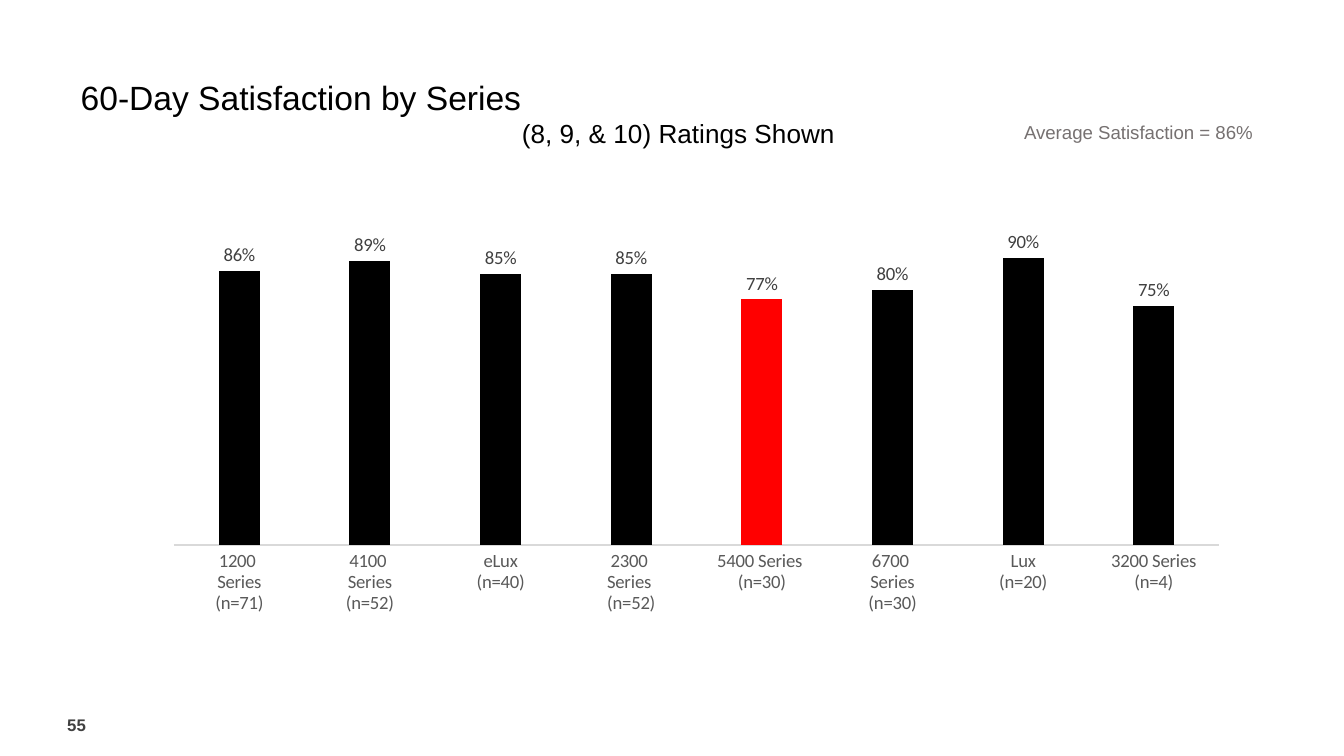
from pptx import Presentation
from pptx.util import Pt
from pptx.dml.color import RGBColor
from pptx.chart.data import CategoryChartData as Data
from pptx.enum.chart import XL_CHART_TYPE as Kind, XL_LABEL_POSITION as Spot
from pptx.enum.chart import XL_TICK_MARK as Tick
from pptx.enum.text import MSO_ANCHOR as Anchor, PP_ALIGN as Align
from pptx.oxml import parse_xml
from pptx.oxml.ns import nsdecls


def hue(code):
    return RGBColor.from_string(code)


def style(font, color, **form):
    for key, val in form.items():
        setattr(font, key, val)
    font.color.rgb = hue(color)


deck = Presentation()
deck.slide_width, deck.slide_height = Pt(720), Pt(405)
slide = deck.slides.add_slide(deck.slide_layouts[5])

# Title, subtitle, average note and page number
title = slide.shapes.title
sub, note, page = [slide.shapes.add_textbox(0, 0, 0, 0) for _ in range(3)]
texts = [
    (title, "60-Day Satisfaction by Series", (36, 40, 640, 24.5), 18, "000000", False),
    (sub, "(8, 9, & 10) Ratings Shown", (272.5, 59, 190, 24.5), 14, "000000", False),
    (note, "Average Satisfaction = 86%", (541.5, 61.2, 154, 19.4), 10, "767171", False),
    (page, "55", (36, 379.5, 54, 18), 9, "414141", True),
]
for box, words, place, size, color, bold in texts:
    for key, val in zip(("left", "top", "width", "height"), place):
        setattr(box, key, Pt(val))
    frame = box.text_frame
    frame.text = words
    frame.word_wrap = True
    frame.vertical_anchor = Anchor.MIDDLE
    para = frame.paragraphs[0]
    para.alignment = Align.LEFT
    style(para.font, color, name="Arial", size=Pt(size), bold=bold)
for side in ("left", "top", "right", "bottom"):
    setattr(page.text_frame, "margin_" + side, 0)

# Chart data
data = Data(number_format="0%")
data.categories = [
    "1200 \nSeries\n(n=71)", "4100 \nSeries\n(n=52)", "eLux\n(n=40)",
    "2300 \nSeries \n(n=52)", "5400 Series \n(n=30)", "6700 \nSeries\n(n=30)",
    "Lux\n(n=20)", "3200 Series\n(n=4)",
]
data.add_series("Series 1", (0.86, 0.89, 0.85, 0.85, 0.77, 0.8, 0.9, 0.75))

# Column chart
chart = slide.shapes.add_chart(
    Kind.COLUMN_CLUSTERED, Pt(44.5), Pt(80), Pt(609), Pt(294.5), data).chart
chart.has_legend = chart.has_title = False
style(chart.font, "000000", name="Calibri", size=Pt(10))

# Axes
vals = chart.value_axis
for key, val in {"minimum_scale": 0, "maximum_scale": 1,
                 "has_major_gridlines": False, "visible": False}.items():
    setattr(vals, key, val)
cats = chart.category_axis
cats.major_tick_mark = cats.minor_tick_mark = Tick.NONE
style(cats.tick_labels.font, "595959", name="Calibri", size=Pt(10))
line = cats.format.line
line.width = Pt(0.75)
line.color.rgb = hue("D9D9D9")

# Bars, with the lowest large group in red
plot = chart.plots[0]
plot.gap_width, plot.overlap, plot.vary_by_categories = 219, -27, False
bars = plot.series[0]
for part, color in ((bars, "000000"), (bars.points[4], "FF0000")):
    part.format.fill.solid()
    part.format.fill.fore_color.rgb = hue(color)

# Value labels
tags = bars.data_labels
for key, val in {"show_value": True, "position": Spot.OUTSIDE_END,
                 "number_format": "0%", "number_format_is_linked": False}.items():
    setattr(tags, key, val)
style(tags.font, "404040", name="Calibri", size=Pt(10))

# Inner plot area
sizes = {"x": 0.08, "y": 0.14, "w": 0.92, "h": 0.58}
rows = "".join(f'<c:{k}Mode val="edge"/>' for k in "xy")
rows += "".join(f'<c:{k} val="{v}"/>' for k, v in sizes.items())
area = chart._chartSpace.chart.plotArea
for old in area.findall("{*}layout"):
    area.remove(old)
area.insert(0, parse_xml(
    f'<c:layout {nsdecls("c")}><c:manualLayout><c:layoutTarget val="inner"/>'
    f'{rows}</c:manualLayout></c:layout>'))

deck.save("out.pptx")
